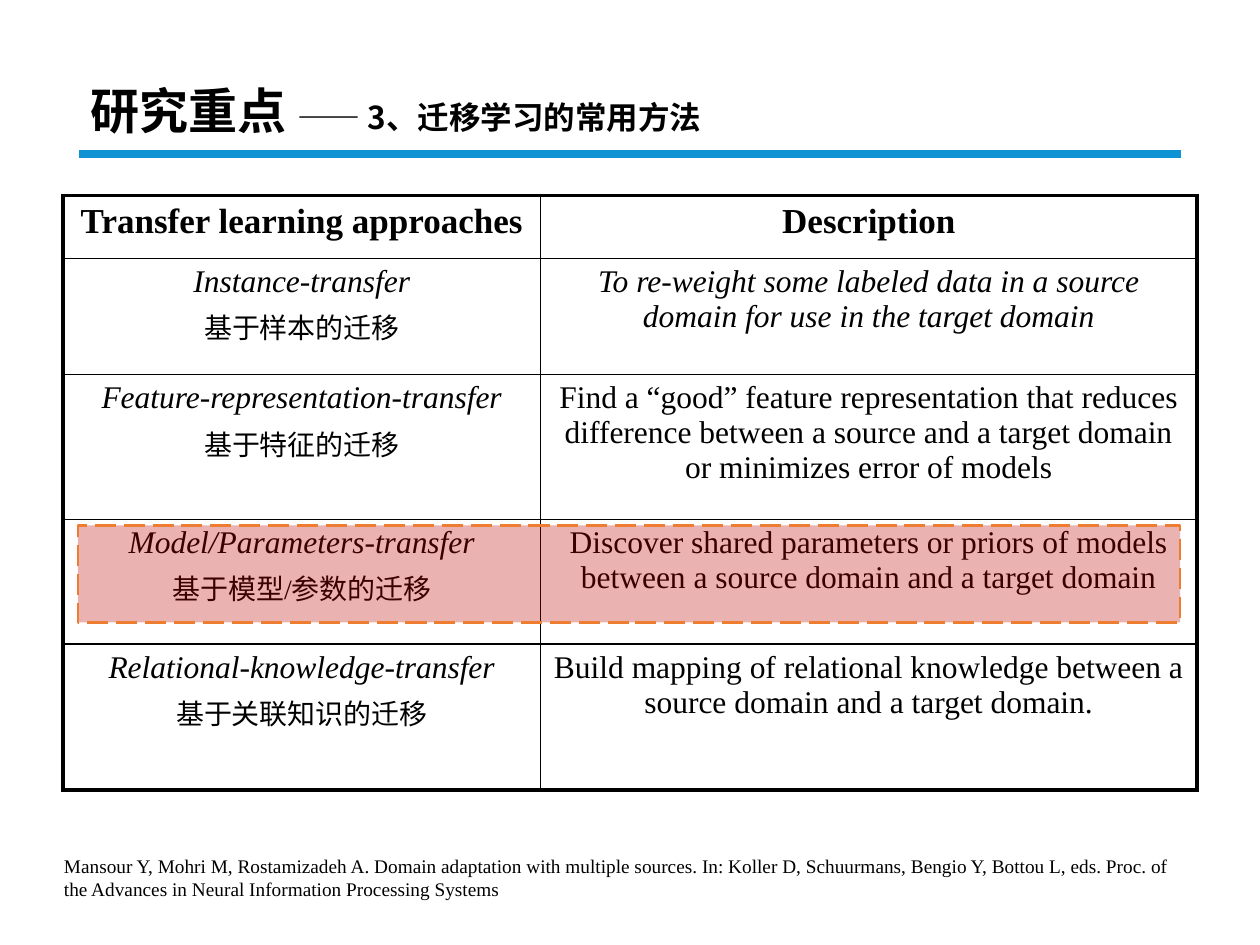
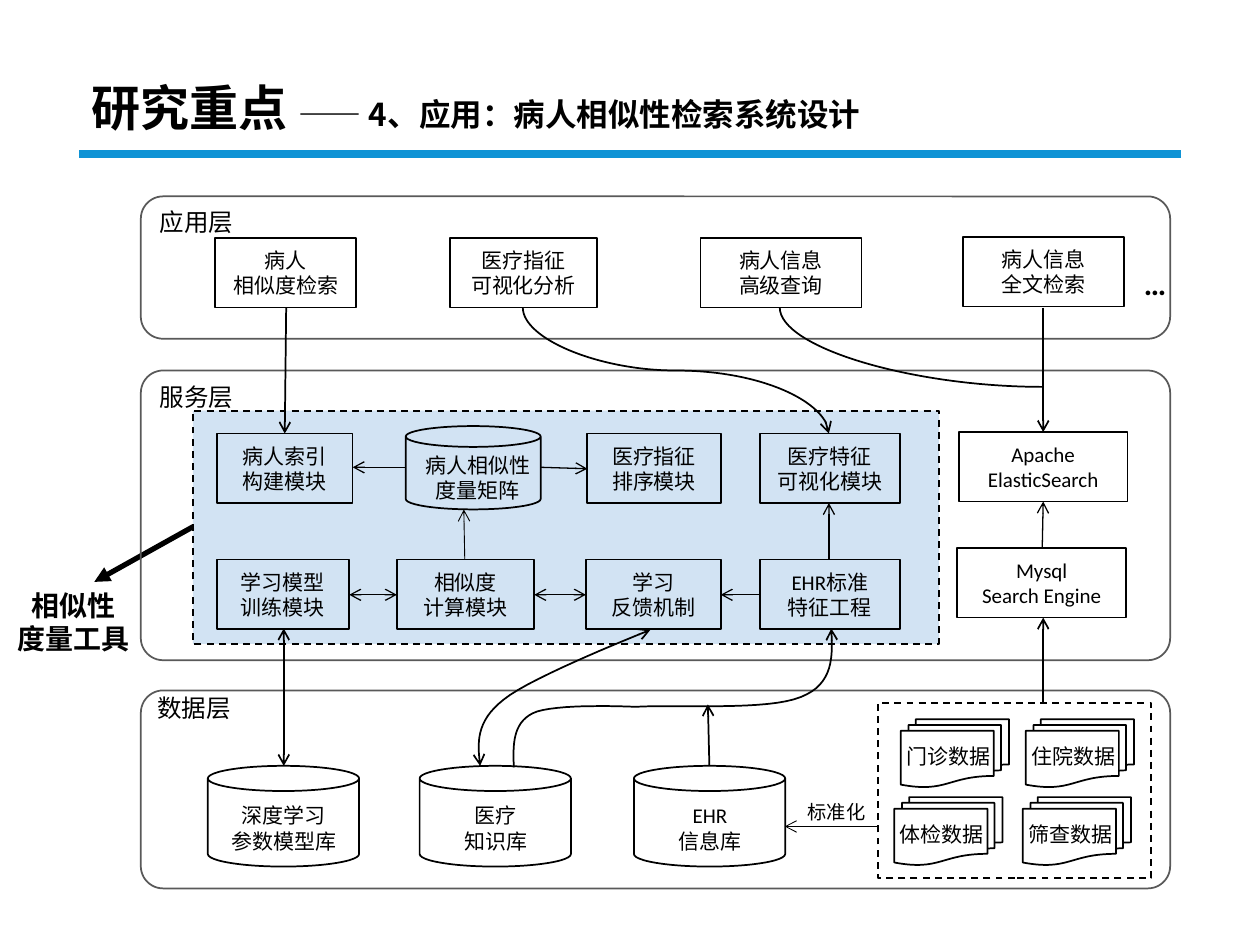
from lxml.etree import SubElement
from pptx import Presentation
from pptx.dml.color import RGBColor
from pptx.enum.dml import MSO_LINE
from pptx.enum.shapes import MSO_CONNECTOR, MSO_SHAPE
from pptx.enum.text import MSO_ANCHOR, MSO_AUTO_SIZE, PP_ALIGN
from pptx.oxml.ns import qn
from pptx.util import Cm, Pt

BLACK, WHITE, BAND = "000000", "FFFFFF", "0F93D5"
FRAME, REGION, ACCENT, MARK = "595959", "9DC3E6", "ED7D31", "C00000"
CJK, SERIF, SANS = "Noto Sans CJK SC", "Times New Roman", "Calibri"
BOX_H = 1.4

APPROACHES = [
    ("Instance-transfer", "基于样本的迁移",
     "To re-weight some labeled data in a source domain for use in the target domain"),
    ("Feature-representation-transfer", "基于特征的迁移",
     "Find a “good” feature representation that reduces difference between "
     "a source and a target domain or minimizes error of models"),
    ("Model/Parameters-transfer", "基于模型/参数的迁移",
     "Discover shared parameters or priors of models between a source domain and a target domain"),
    ("Relational-knowledge-transfer", "基于关联知识的迁移",
     "Build mapping of relational knowledge between a source domain and a target domain."),
]

LAYERS = [("应用层", 3.96, 2.87, 2.97, 4.04), ("服务层", 7.47, 5.84, 2.97, 7.57),
          ("数据层", 13.92, 3.99, 2.92, 13.84)]

WHITE_BOXES = [
    (4.34, 4.8, 2.84, "病人\n相似度检索"), (9.07, 4.8, 2.97, "医疗指征\n可视化分析"),
    (14.12, 4.8, 3.25, "病人信息\n高级查询"), (19.41, 4.78, 3.25, "病人信息\n全文检索"),
    (19.33, 8.71, 3.4, "Apache\nElasticSearch"), (19.3, 11.05, 3.4, "Mysql\nSearch Engine"),
]

MODULES = [
    (4.37, 8.74, 2.74, "病人索引\n构建模块"), (11.84, 8.74, 2.69, "医疗指征\n排序模块"),
    (15.32, 8.74, 2.82, "医疗特征\n可视化模块"), (4.37, 11.28, 2.67, "学习模型\n训练模块"),
    (8, 11.28, 2.77, "相似度\n计算模块"), (11.81, 11.28, 2.72, "学习\n反馈机制"),
    (15.32, 11.28, 2.82, "EHR标准\n特征工程"),
]

STORES = [(4.19, "深度学习\n参数模型库"), (8.46, "医疗\n知识库"), (12.78, "EHR\n信息库")]

RECORDS = [(18.16, 14.5, "门诊数据"), (20.68, 14.5, "住院数据"),
           (18.03, 16.07, "体检数据"), (20.62, 16.07, "筛查数据")]

ARROWS = [
    (21.03, 14.17, 21.03, 12.45, 1), (21.01, 11.05, 21.03, 10.11, 0.75),
    (14.3, 15.44, 14.27, 14.2, 1), (21.03, 6.2, 21.03, 8.71, 1),
    (5.77, 6.2, 5.74, 8.74, 1), (8.18, 9.42, 7.11, 9.42, 0.75),
    (10.9, 9.42, 11.84, 9.45, 0.75), (9.37, 11.28, 9.35, 10.27, 0.5),
    (16.71, 11.28, 16.71, 10.14, 0.75), (15.32, 11.99, 14.53, 11.99, 0.75),
    (17.7, 16.66, 15.82, 16.66, 0.5),
]

TWO_WAY_ARROWS = [(5.72, 12.67, 5.72, 15.44, 1), (7.04, 11.99, 8, 11.99, 0.75),
                  (11.81, 11.99, 10.77, 11.99, 0.75)]

KNOWLEDGE_TO_FEATURES = [
    (10.36, 15.47), (10.34, 15.01), (10.34, 14.58), (10.74, 14.38),
    (11.15, 14.17), (12.8, 14.25), (12.8, 14.25),
    (13.69, 14.2), (15.49, 14.33), (16.15, 14.05),
    (16.81, 13.79), (16.79, 13.23), (16.76, 12.67),
]
KNOWLEDGE_TO_FEEDBACK = [
    (9.68, 15.44), (9.63, 14.99), (9.58, 14.55), (10.16, 14.1),
    (10.72, 13.64), (13.11, 12.7), (13.11, 12.7),
]


def color(value):
    return RGBColor.from_string(value)


def cm(*values):
    return [Cm(v) for v in values]


def write(p, text, size=12, font=SANS, bold=False, italic=False, align=PP_ALIGN.CENTER):
    p.alignment = align
    r = p.add_run()
    r.text = text
    r.font.size, r.font.name = Pt(size), font
    r.font.bold, r.font.italic = bold, italic
    r.font.color.rgb = color(BLACK)
    SubElement(r.font._element, qn("a:ea"), typeface=CJK)


def write_lines(tf, text, **fmt):
    for i, line in enumerate(text.split("\n")):
        write(tf.add_paragraph() if i else tf.paragraphs[0], line, **fmt)


def set_fill(sp, value, alpha=100):
    if value is None:
        sp.fill.background()
        return
    sp.fill.solid()
    sp.fill.fore_color.rgb = color(value)
    if alpha < 100:
        clr = sp.fill._xPr.find(qn("a:solidFill"))[0]
        SubElement(clr, qn("a:alpha"), val=str(alpha * 1000))


def set_line(sp, value=BLACK, width=1, dash=None, head=None, tail=None):
    sp.line.color.rgb = color(value)
    sp.line.width = Pt(width)
    if dash:
        sp.line.dash_style = dash
    ln = sp.line._get_or_add_ln()
    for tag, kind in (("a:headEnd", head), ("a:tailEnd", tail)):
        if kind:
            SubElement(ln, qn(tag), type=kind)


def add_text(s, x, y, w, h, text, wrap=True, **fmt):
    tf = s.shapes.add_textbox(*cm(x, y, w, h)).text_frame
    tf.word_wrap = wrap
    write_lines(tf, text, **fmt)


def add_shape(s, kind, x, y, w, h, fill=None, alpha=100, line=BLACK, width=1, dash=None):
    sp = s.shapes.add_shape(kind, *cm(x, y, w, h))
    sp.shadow.inherit = False
    set_fill(sp, fill, alpha)
    set_line(sp, line, width, dash)
    return sp


def add_box(s, x, y, w, text, fill=None, line=BLACK, **fmt):
    tf = add_shape(s, MSO_SHAPE.RECTANGLE, x, y, w, BOX_H, fill, line=line).text_frame
    tf.vertical_anchor = MSO_ANCHOR.MIDDLE
    write_lines(tf, text, **fmt)


def add_can(s, x, y, w, h, text, dx, dy):
    add_shape(s, MSO_SHAPE.CAN, x, y, w, h)
    add_text(s, x + dx, y + dy, 2.87, 1.27, text)


def add_line(s, x1, y1, x2, y2, width=1, kind=MSO_CONNECTOR.STRAIGHT, **fmt):
    cxn = s.shapes.add_connector(kind, *cm(x1, y1, x2, y2))
    set_line(cxn, width=width, **fmt)
    SubElement(cxn._element.spPr, qn("a:effectLst"))
    return cxn


def add_drop_curve(s, x1, y1, x2, y2, preset="curvedConnector3", **fmt):
    mid_x, mid_y = (x1 + x2) / 2, (y1 + y2) / 2
    half_w, half_h = (y2 - y1) / 2, (x2 - x1) / 2
    cxn = add_line(s, mid_x + half_w, mid_y - half_h, mid_x - half_w, mid_y + half_h,
                   kind=MSO_CONNECTOR.CURVE, **fmt)
    spPr = cxn._element.spPr
    spPr.find(qn("a:xfrm")).set("rot", str(270 * 60000))
    spPr.find(qn("a:prstGeom")).set("prst", preset)


def bezier(a, b, c, d, t):
    u = 1 - t
    return tuple(u**3 * i + 3 * u * u * t * j + 3 * u * t * t * k + t**3 * m
                 for i, j, k, m in zip(a, b, c, d))


def add_bezier(s, knots, steps=16, **fmt):
    points = [bezier(*knots[i:i + 4], n / steps)
              for i in range(0, len(knots) - 1, 3) for n in range(1, steps + 1)]
    builder = s.shapes.build_freeform(*cm(*knots[0]))
    builder.add_line_segments([cm(*pt) for pt in points], close=False)
    sp = builder.convert_to_shape()
    sp.shadow.inherit = False
    set_fill(sp, None)
    set_line(sp, **fmt)


def add_slide(prs, subtitle, x, y, h):
    s = prs.slides.add_slide(prs.slide_layouts[5])
    add_line(s, 1.6, 3.1, 23.8, 3.1, 4.5, value=BAND)
    title = s.shapes.title
    title.left, title.top, title.width, title.height = cm(x, y, 21.9, h)
    tf = title.text_frame
    tf.auto_size = MSO_AUTO_SIZE.NONE
    tf.vertical_anchor = MSO_ANCHOR.MIDDLE
    p = tf.paragraphs[0]
    p.line_spacing = 0.9
    for text, size in (("研究重点 ", 28), ("—— " + subtitle, 18)):
        write(p, text, size=size, font=CJK, bold=True, align=PP_ALIGN.LEFT)
    return s


def set_borders(cell, **widths):
    tcPr = cell._tc.get_or_add_tcPr()
    for side in "LRTB":
        ln = SubElement(tcPr, qn("a:ln" + side), w=str(Pt(widths[side])))
        SubElement(SubElement(ln, qn("a:solidFill")), qn("a:srgbClr"), val=BLACK)


def add_approach_table(s):
    rows, cols = [1.27, 2.34, 2.92, 2.51, 2.95], [9.63, 13.23]
    frame = s.shapes.add_table(len(rows), len(cols), *cm(1.27, 3.94, sum(cols), sum(rows)))
    table = frame.table
    table.first_row = table.horz_banding = False
    for row, height in zip(table.rows, rows):
        row.height = Cm(height)
    for col, width in zip(table.columns, cols):
        col.width = Cm(width)
    last = len(rows) - 1
    for i in range(len(rows)):
        for j in range(len(cols)):
            cell = table.cell(i, j)
            set_borders(cell, L=1 if j else 2.25, R=2.25 if j else 1,
                        T=1 if i else 2.25, B=2.25 if i == last else 1)
            cell.fill.background()
    for j, heading in enumerate(("Transfer learning approaches", "Description")):
        write_lines(table.cell(0, j).text_frame, heading, size=20, font=SERIF, bold=True)
    for i, (name, chinese, description) in enumerate(APPROACHES, 1):
        tf = table.cell(i, 0).text_frame
        write(tf.paragraphs[0], name, size=18, font=SERIF, italic=True)
        p = tf.add_paragraph()
        p.space_before = Pt(4)
        write(p, chinese, size=16, font=SERIF)
        write_lines(table.cell(i, 1).text_frame, description, size=18, font=SERIF,
                    italic=i == 1)


def build_approaches(prs):
    s = add_slide(prs, "3、迁移学习的常用方法", 1.57, 1.52, 1.55)
    add_approach_table(s)
    add_text(s, 1.04, 17.09, 23.32, 1.19,
             "Mansour Y, Mohri M, Rostamizadeh A. Domain adaptation with multiple sources. "
             "In: Koller D, Schuurmans, Bengio Y, Bottou L, eds. Proc. of the Advances in "
             "Neural Information Processing Systems",
             size=11, font=SERIF, align=PP_ALIGN.LEFT)
    add_shape(s, MSO_SHAPE.RECTANGLE, 1.57, 10.59, 22.22, 1.96, MARK, 30,
              ACCENT, 1.5, MSO_LINE.LONG_DASH)


def build_architecture(prs):
    s = add_slide(prs, "4、应用：病人相似性检索系统设计", 1.6, 1.42, 1.6)
    add_line(s, 3.89, 10.62, 1.9, 11.73, 3, tail="triangle")
    add_text(s, 0, 11.73, 2.97, 1.63, "相似性\n度量工具", size=16, font=CJK, bold=True)
    add_shape(s, MSO_SHAPE.RECTANGLE, 3.89, 8.28, 15.04, 4.7, REGION, 45, dash=MSO_LINE.DASH)
    add_shape(s, MSO_SHAPE.RECTANGLE, 17.7, 14.17, 5.51, 3.53, dash=MSO_LINE.DASH)
    for name, y, h, label_x, label_y in LAYERS:
        frame = add_shape(s, MSO_SHAPE.ROUNDED_RECTANGLE, 2.84, y, 20.75, h, line=FRAME)
        frame.adjustments[0] = 0.45 / h
        add_text(s, label_x, label_y, 2, 0.86, name, wrap=False, size=14, align=PP_ALIGN.LEFT)
    for x, y, w, text in WHITE_BOXES:
        add_box(s, x, y, w, text, WHITE)
    add_box(s, 22.81, 5, 0.69, "…", WHITE, WHITE, size=18, bold=True)
    for module in MODULES:
        add_box(s, *module)
    add_can(s, 8.18, 8.59, 2.72, 1.68, "病人相似性\n度量矩阵", 0.02, 0.4)
    for x, text in STORES:
        add_can(s, x, 15.44, 3.05, 2.03, text, 0.1, 0.62)
    for x, y, text in RECORDS:
        add_shape(s, MSO_SHAPE.FLOWCHART_MULTIDOCUMENT, x, y, 2.18, 1.37)
        add_text(s, x - 0.14, y + 0.37, 2.24, 0.76, text, wrap=False, font=CJK,
                 align=PP_ALIGN.LEFT)
    add_text(s, 15.85, 16, 2.03, 0.74, "标准化", size=11)
    for arrow in ARROWS:
        add_line(s, *arrow, tail="arrow")
    for arrow in TWO_WAY_ARROWS:
        add_line(s, *arrow, head="arrow", tail="arrow")
    add_drop_curve(s, 15.72, 6.2, 21.03, 7.8, "curvedConnector2")
    add_drop_curve(s, 10.54, 6.2, 16.71, 8.74, tail="arrow")
    add_bezier(s, KNOWLEDGE_TO_FEATURES, tail="arrow")
    add_bezier(s, KNOWLEDGE_TO_FEEDBACK, head="arrow", tail="arrow")


def main():
    prs = Presentation()
    prs.slide_width, prs.slide_height = cm(25.4, 19.05)
    build_approaches(prs)
    build_architecture(prs)
    prs.save("out.pptx")


if __name__ == "__main__":
    main()
